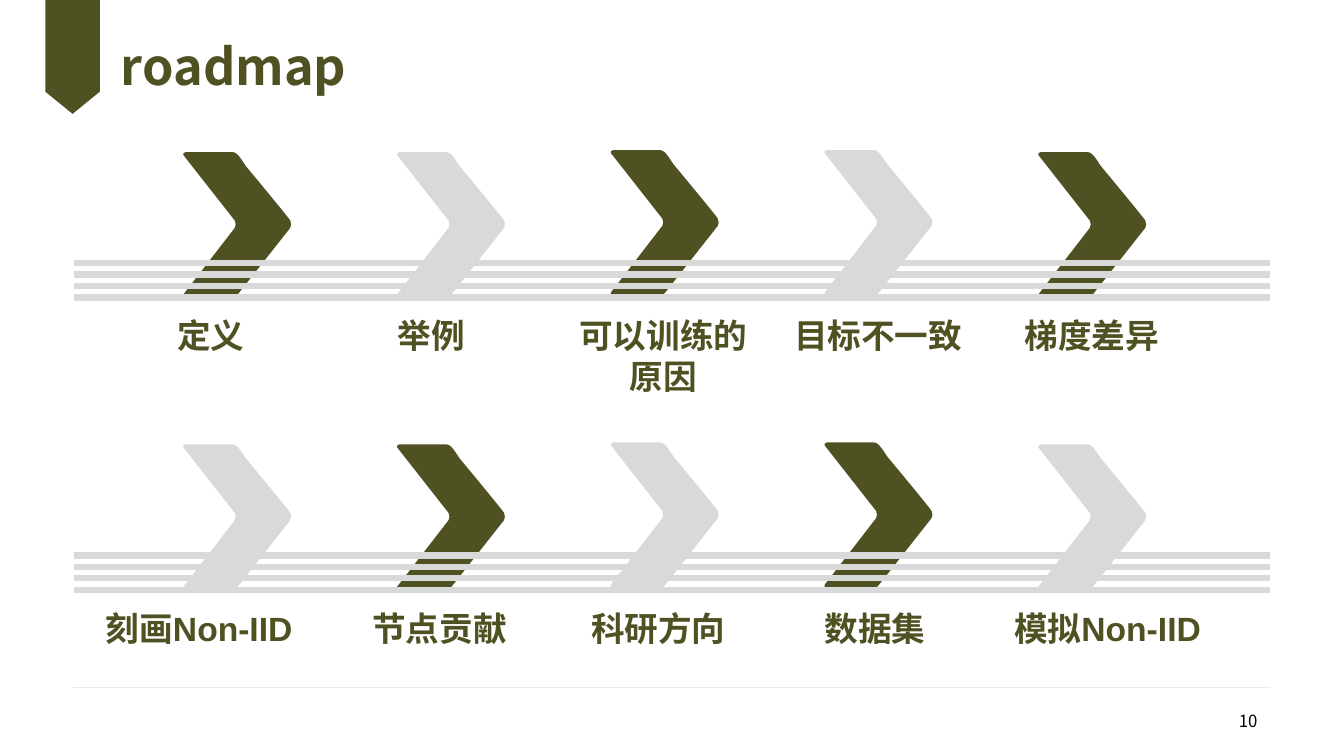
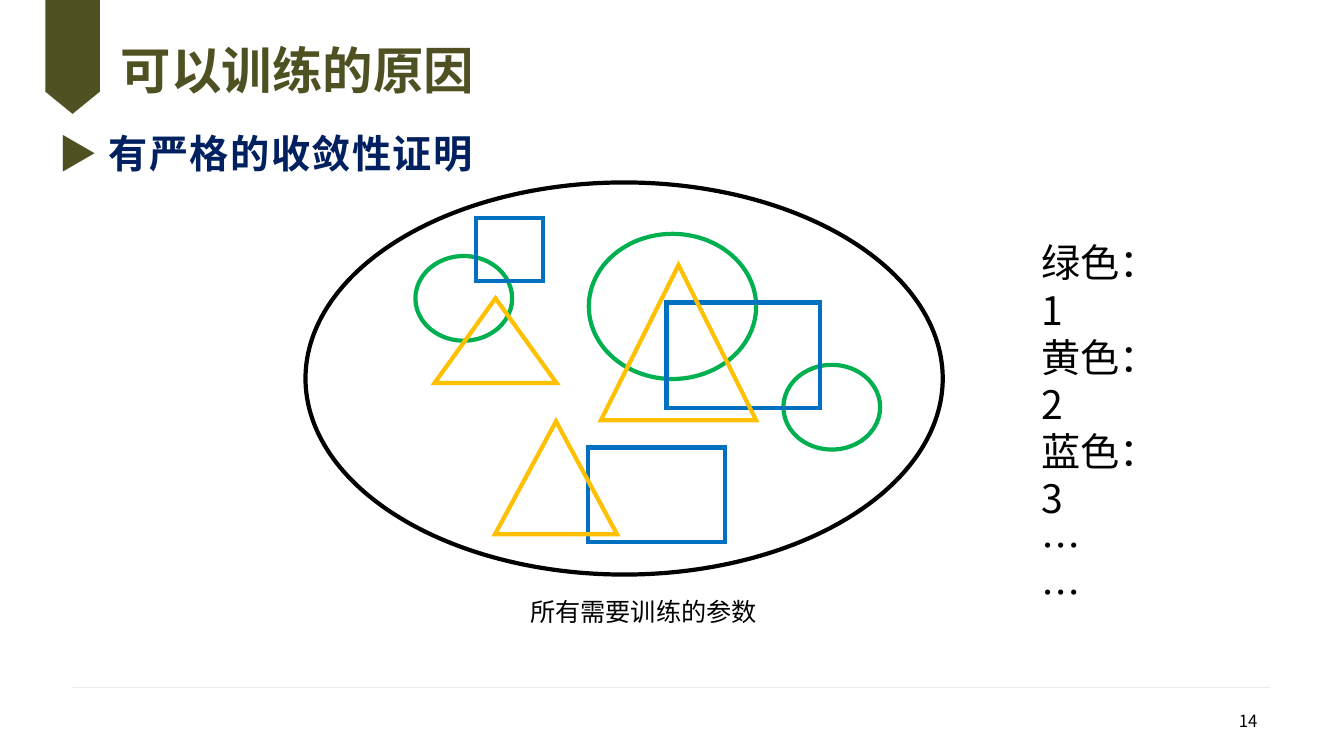
from lxml import etree
from pptx import Presentation
from pptx.dml.color import RGBColor
from pptx.enum.shapes import MSO_CONNECTOR, MSO_SHAPE
from pptx.enum.text import MSO_ANCHOR, PP_ALIGN
from pptx.oxml.ns import qn
from pptx.util import Inches, Pt

OVAL, RECT, TRIANGLE = MSO_SHAPE.OVAL, MSO_SHAPE.RECTANGLE, MSO_SHAPE.ISOSCELES_TRIANGLE
STRAIGHT = MSO_CONNECTOR.STRAIGHT
TOP, MIDDLE = MSO_ANCHOR.TOP, MSO_ANCHOR.MIDDLE
LEFT, CENTER, RIGHT = PP_ALIGN.LEFT, PP_ALIGN.CENTER, PP_ALIGN.RIGHT

OLIVE, GREY, RULE = "505122", "D9D9D9", "BFBFBF"
BLACK, WHITE, NAVY = "000000", "FFFFFF", "002060"
GREEN, BLUE, YELLOW = "00B050", "0070C0", "FFC000"
SANS, LATIN = "Noto Sans CJK SC", "Arial"

RIBBON = [(0.45, 0), (0.99, 0), (0.99, 0.91), (0.72, 1.13), (0.45, 0.91)]
CHEVRON = [
    (0.01, 0.03),
    (0, 0.02, 0.01, 0, 0.03, 0),
    (0.5, 0),
    (0.55, 0, 0.6, 0.1, 0.63, 0.14),
    (0.68, 0.2, 1.07, 0.67, 1.07, 0.68),
    (1.08, 0.7, 1.08, 0.73, 1.07, 0.75),
    (0.55, 1.41),
    (0.54, 1.43, 0.52, 1.44, 0.5, 1.44),
    (0.03, 1.44),
    (0.01, 1.44, 0, 1.43, 0.01, 1.41),
    (0.52, 0.75),
    (0.53, 0.73, 0.53, 0.7, 0.52, 0.68),
]


def rgb(value):
    return RGBColor.from_string(value)


def bend(sp, segments):
    lines = iter(sp._element.findall(".//" + qn("a:lnTo")))
    for segment in segments[1:]:
        first = next(lines)
        if len(segment) == 6:
            first.tag = qn("a:cubicBezTo")
            for _ in range(2):
                extra = next(lines)
                first.append(extra[0])
                extra.getparent().remove(extra)


class Deck:
    def __init__(self):
        self.prs = Presentation()
        self.prs.slide_width, self.prs.slide_height = Inches(13.33), Inches(7.5)
        self.s = None

    def slide(self, title, number, font=SANS, spacing=1.0):
        self.s = self.prs.slides.add_slide(self.prs.slide_layouts[5])
        self.line(0.72, 6.82, 12.6, RULE, 0.25, alpha=47)
        self.outline(RIBBON, OLIVE)
        self.text(9.57, 6.95, 3, 0.4, [[(number, {"size": 12})]], align=RIGHT, anchor=MIDDLE)
        sp = self.s.shapes.title
        sp.left, sp.top, sp.width, sp.height = map(Inches, (1.2, 0.26, 8.93, 0.86))
        tf = sp.text_frame
        tf.margin_left = tf.margin_right = tf.margin_top = tf.margin_bottom = 0
        tf.vertical_anchor = MIDDLE
        p = tf.paragraphs[0]
        p.alignment, p.line_spacing = LEFT, spacing
        self.run(p, title, 36, OLIVE, True, font)

    def run(self, p, text, size=18, color=BLACK, bold=False, font=SANS, spacing=0):
        r = p.add_run()
        r.text = text
        r.font.size, r.font.bold, r.font.name = Pt(size), bold, font
        r.font.color.rgb = rgb(color)
        rpr = r.font._element
        etree.SubElement(rpr, qn("a:ea")).set("typeface", SANS)
        if spacing:
            rpr.set("spc", str(spacing * 100))

    def text(self, x, y, w, h, paragraphs, align=LEFT, anchor=TOP, wrap=True):
        sp = self.s.shapes.add_textbox(Inches(x), Inches(y), Inches(w), Inches(h))
        tf = sp.text_frame
        tf.word_wrap, tf.vertical_anchor = wrap, anchor
        for i, runs in enumerate(paragraphs):
            p = tf.add_paragraph() if i else tf.paragraphs[0]
            p.alignment = align
            for text, style in runs:
                self.run(p, text, **style)

    def line(self, x1, y, x2, color, width, alpha=None, shapes=None):
        shapes = shapes or self.s.shapes
        sp = shapes.add_connector(STRAIGHT, Inches(x1), Inches(y), Inches(x2), Inches(y))
        sp.line.width = Pt(width)
        sp.line.color.rgb = rgb(color)
        sppr = sp._element.spPr
        if alpha:
            clr = sppr.find(".//" + qn("a:srgbClr"))
            etree.SubElement(clr, qn("a:alpha")).set("val", str(alpha * 1000))
        etree.SubElement(sppr, qn("a:effectLst"))

    def outline(self, segments, color, x=0, y=0, shapes=None):
        points = [(Inches(x + seg[i]), Inches(y + seg[i + 1]))
                  for seg in segments for i in range(0, len(seg), 2)]
        builder = (shapes or self.s.shapes).build_freeform(*points[0])
        builder.add_line_segments(points[1:], close=False)
        builder.add_line_segments([], close=True)
        sp = builder.convert_to_shape()
        bend(sp, segments)
        sp.shadow.inherit = False
        sp.fill.solid()
        sp.fill.fore_color.rgb = rgb(color)
        sp.line.fill.background()

    def shape(self, kind, x, y, w, h, color, fill=None):
        sp = self.s.shapes.add_shape(kind, Inches(x), Inches(y), Inches(w), Inches(h))
        sp.shadow.inherit = False
        if fill:
            sp.fill.solid()
            sp.fill.fore_color.rgb = rgb(fill)
        else:
            sp.fill.background()
        sp.line.color.rgb = rgb(color)
        sp.line.width = Pt(3)
        ln = sp._element.spPr.find(qn("a:ln"))
        etree.SubElement(ln, qn("a:miter")).set("lim", "800000")

    def road(self, top, colors, labels):
        shapes = self.s.shapes.add_group_shape().shapes
        for i in range(len(labels)):
            lift = 0.02 if i in (2, 3) else 0
            self.outline(CHEVRON, colors[i % 2], 1.81 + 2.12 * i, top - lift, shapes)
        for i in range(4):
            self.line(0.73, top + 1.44 - 0.34 * i / 3, 12.6, GREY, 4.5, shapes=shapes)
        style = {"size": 24, "color": OLIVE, "bold": True, "font": LATIN}
        for label, x, width in labels:
            self.text(x, top + 1.57, width, 0.5, [[(label, style)]], CENTER)


def roadmap(deck):
    deck.slide("roadmap", "10", spacing=0.9)
    deck.road(4.41, (GREY, OLIVE), [
        ("刻画Non-IID", 0.88, 2.19),
        ("节点贡献", 3.38, 1.96),
        ("科研方向", 5.55, 1.96),
        ("数据集", 7.7, 1.96),
        ("模拟Non-IID", 9.79, 2.39),
    ])
    deck.road(1.51, (OLIVE, GREY), [
        ("定义", 1.11, 1.96),
        ("举例", 3.3, 1.96),
        ("可以训练的原因", 5.6, 1.96),
        ("目标不一致", 7.73, 1.96),
        ("梯度差异", 9.85, 1.96),
    ])


def training(deck):
    deck.slide("可以训练的原因", "14", LATIN)
    deck.shape(OVAL, 3.03, 1.81, 6.32, 3.89, BLACK)
    deck.text(5.16, 5.87, 2.53, 0.4, [[("所有需要训练的参数", {})]], wrap=False)
    parameters = [
        (OVAL, GREEN, WHITE, [(4.12, 2.54, 0.96, 0.84), (7.77, 3.62, 0.96, 0.84),
                              (5.84, 2.32, 1.66, 1.44)]),
        (RECT, BLUE, None, [(4.72, 2.16, 0.67, 0.63), (6.61, 3, 1.52, 1.05),
                            (5.83, 4.44, 1.36, 0.94)]),
    ]
    triangles = [(4.31, 2.96, 1.21, 0.84), (4.91, 4.18, 1.21, 1.12), (5.96, 2.63, 1.54, 1.54)]
    for kind, color, fill, boxes in parameters:
        for box in boxes:
            deck.shape(kind, *box, color, fill)
    legend = ["绿色：1", "黄色：2", "蓝色：3", "…", "…"]
    deck.text(10.23, 2.32, 1.5, 3.8, [[(entry, {"size": 28})] for entry in legend])
    for box in triangles:
        deck.shape(TRIANGLE, *box, YELLOW)
    deck.text(0.48, 1.23, 4.36, 0.57, [[
        ("▶ ", {"size": 28, "color": OLIVE, "spacing": 1}),
        ("有严格的收敛性证明", {"size": 28, "color": NAVY, "bold": True, "spacing": 1}),
    ]], wrap=False)


def main():
    deck = Deck()
    roadmap(deck)
    training(deck)
    deck.prs.save("out.pptx")


if __name__ == "__main__":
    main()
